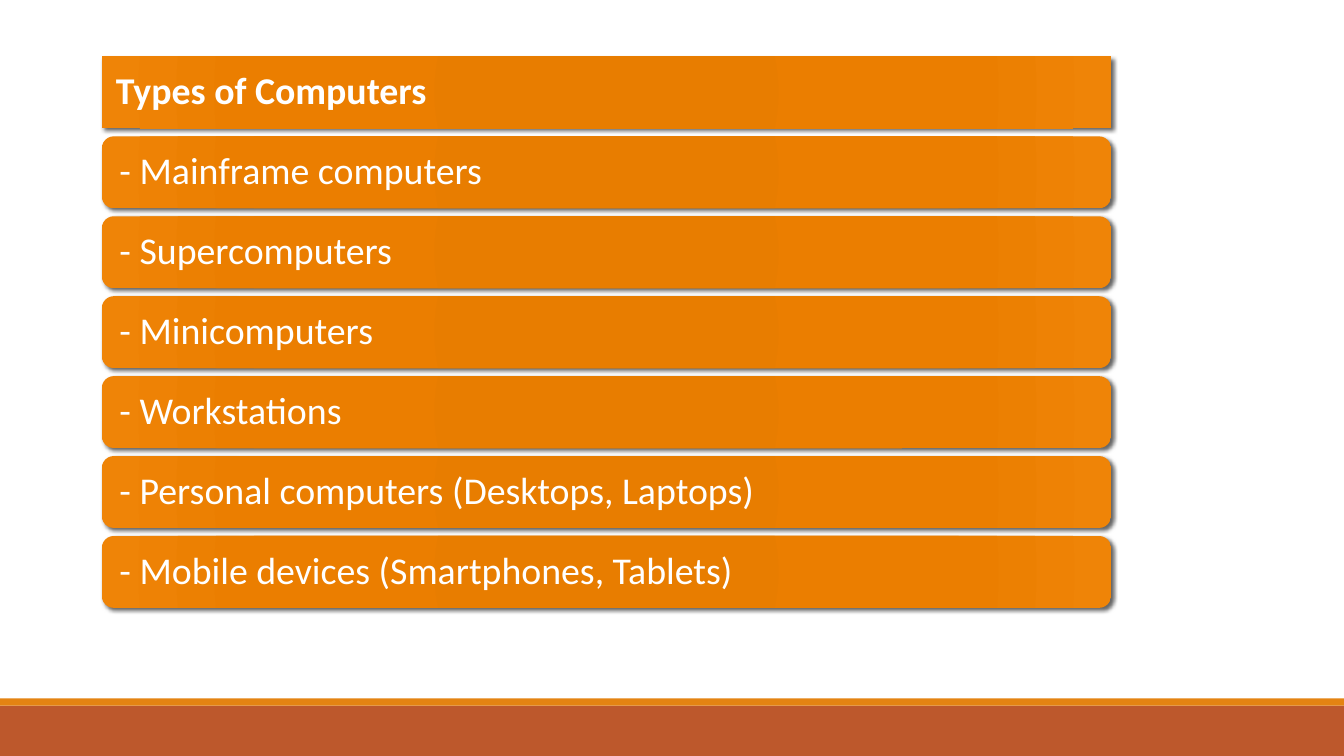
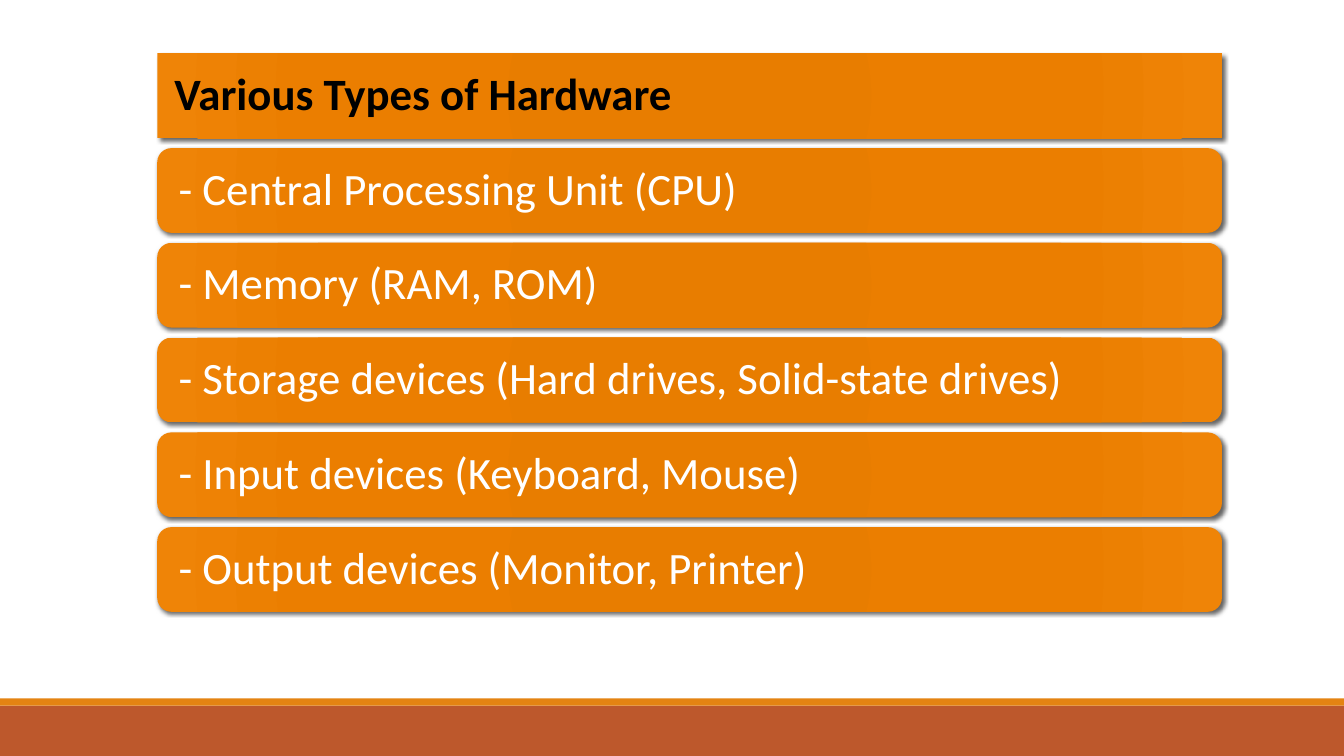
from dataclasses import dataclass

from pptx import Presentation
from pptx.dml.color import RGBColor
from pptx.enum import shapes, text
from pptx.oxml import parse_xml
from pptx.oxml.ns import nsdecls, qn
from pptx.util import Inches, Pt


@dataclass(frozen=True)
class Theme:
    font: str = "Calibri"
    light: str = "FFFFFF"
    dark: str = "000000"
    footer: str = "BD582C"
    accent: str = "E48312"
    shadow: str = "000000"
    gradient: tuple = ((0, "E57B00"), (34, "E87D00"), (70, "EB7E00"), (100, "EF8407"))
    compact_size: int = 27
    large_size: int = 32


@dataclass(frozen=True)
class Box:
    left: float
    top: float
    width: float
    height: float

    def place(self, shape):
        shape.left, shape.top = Inches(self.left), Inches(self.top)
        shape.width, shape.height = Inches(self.width), Inches(self.height)

    def rows(self, count, gap):
        height = (self.height - gap * (count - 1)) / count
        return [Box(self.left, self.top + i * (height + gap), self.width, height)
                for i in range(count)]


THEME = Theme()
PAGE = Box(0, 0, 13.33, 7.5)
BANDS = (
    (Box(0, 7, PAGE.width, 0.5), THEME.footer),
    (Box(0, 6.93, PAGE.width, 0.07), THEME.accent),
)


def add_master_bands(deck, page):
    tree = deck.slide_master.shapes._spTree
    for position, (box, color) in enumerate(BANDS):
        band = page.shapes.add_shape(shapes.MSO_SHAPE.RECTANGLE, 0, 0, 0, 0)
        box.place(band)
        band.shadow.inherit = False
        band.fill.solid()
        band.fill.fore_color.rgb = RGBColor.from_string(color)
        band.line.fill.background()
        band.name = f"Footer band {position + 1}"
        element = band._element
        element.nvSpPr.cNvPr.set("id", str(100 + position))
        tree.insert(2 + position, element)


def gradient_fill():
    stops = "".join(
        f'<a:gs pos="{position * 1000}"><a:srgbClr val="{color}"/></a:gs>'
        for position, color in THEME.gradient)
    return parse_xml(
        f'<a:gradFill rotWithShape="1" {nsdecls("a")}><a:gsLst>{stops}</a:gsLst>'
        '<a:path path="circle"><a:fillToRect l="100000" t="100000" r="100000" b="100000"/>'
        '</a:path></a:gradFill>')


def outer_shadow():
    return parse_xml(
        f'<a:outerShdw {nsdecls("a")} blurRad="{Pt(3)}" dist="{Pt(2)}" dir="2700000" '
        f'algn="ctr" rotWithShape="0"><a:srgbClr val="{THEME.shadow}">'
        '<a:alpha val="60000"/></a:srgbClr></a:outerShdw>')


def style_bar(bar):
    bar.line.fill.background()
    bar.shadow.inherit = False
    properties = bar._element.spPr
    properties.find(qn("a:ln")).addprevious(gradient_fill())
    properties.find(qn("a:effectLst")).append(outer_shadow())


def write_label(bar, label, size, color, inset, bold=False):
    frame = bar.text_frame
    frame.text = label
    frame.word_wrap = True
    frame.auto_size = text.MSO_AUTO_SIZE.NONE
    frame.vertical_anchor = text.MSO_ANCHOR.MIDDLE
    frame.margin_left = frame.margin_right = Inches(inset)
    frame.margin_top = frame.margin_bottom = Inches(0.05)
    para = frame.paragraphs[0]
    para.alignment = text.PP_ALIGN.LEFT
    para.line_spacing = 0.9
    font = para.runs[0].font
    font.name, font.size, font.bold = THEME.font, Pt(size), bold
    font.color.rgb = RGBColor.from_string(color)


def add_bar_list(page, box, title, items, size, title_color, gap, inset):
    title_box, *item_boxes = box.rows(len(items) + 1, gap)
    heading = page.shapes.title
    title_box.place(heading)
    heading._element.spPr.find(qn("a:xfrm")).addnext(parse_xml(
        f'<a:prstGeom prst="roundRect" {nsdecls("a")}><a:avLst/></a:prstGeom>'))
    style_bar(heading)
    write_label(heading, title, size, title_color, inset, bold=True)
    for item_box, item in zip(item_boxes, items):
        bar = page.shapes.add_shape(shapes.MSO_SHAPE.ROUNDED_RECTANGLE, 0, 0, 0, 0)
        item_box.place(bar)
        style_bar(bar)
        write_label(bar, item, size, THEME.light, inset)


def main():
    deck = Presentation()
    deck.slide_width, deck.slide_height = Inches(PAGE.width), Inches(PAGE.height)
    title_only = deck.slide_layouts[5]

    computers = deck.slides.add_slide(title_only)
    add_master_bands(deck, computers)
    add_bar_list(
        computers, Box(1.01, 0.56, 10.01, 5.47), "Types of Computers",
        ["- Mainframe computers", "- Supercomputers", "- Minicomputers", "- Workstations",
         "- Personal computers (Desktops, Laptops)",
         "- Mobile devices (Smartphones, Tablets)"],
        THEME.compact_size, THEME.light, gap=0.08, inset=0.14)

    hardware = deck.slides.add_slide(title_only)
    add_bar_list(
        hardware, Box(1.56, 0.53, 10.56, 5.54), "Various Types of Hardware",
        ["- Central Processing Unit (CPU)", "- Memory (RAM, ROM)",
         "- Storage devices (Hard drives, Solid-state drives)",
         "- Input devices (Keyboard, Mouse)", "- Output devices (Monitor, Printer)"],
        THEME.large_size, THEME.dark, gap=0.1, inset=0.17)

    deck.save("out.pptx")


if __name__ == "__main__":
    main()
